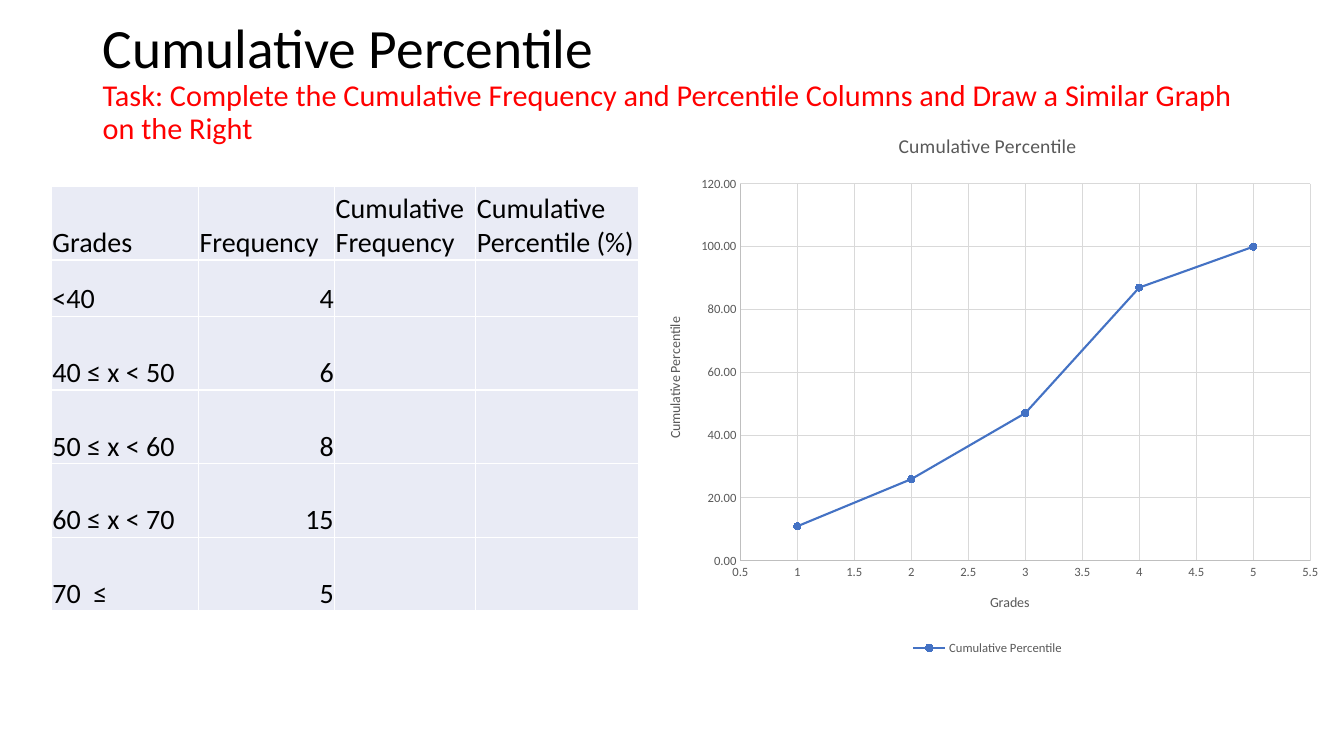
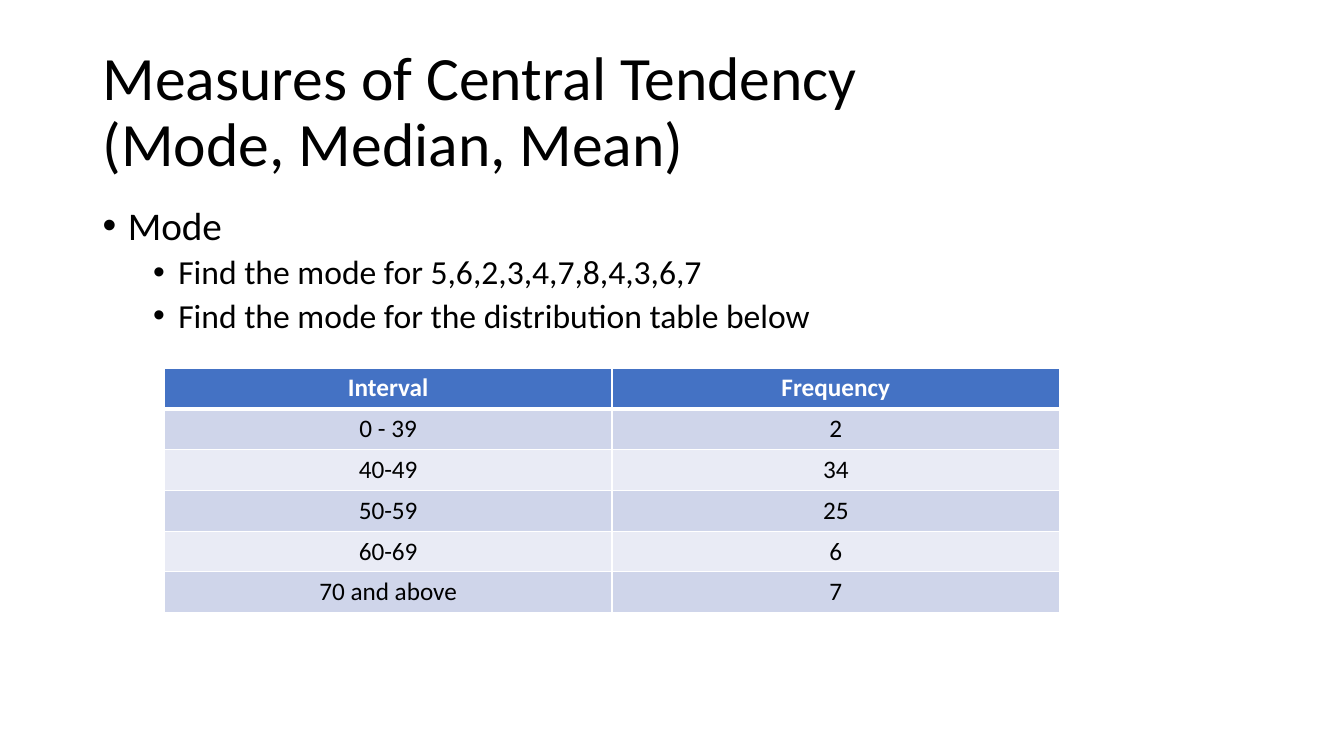
from lxml import etree
from pptx import Presentation
from pptx.chart.data import XyChartData
from pptx.dml.color import RGBColor
from pptx.enum.chart import (XL_CHART_TYPE, XL_LEGEND_POSITION, XL_MARKER_STYLE,
                             XL_TICK_MARK)
from pptx.enum.text import MSO_ANCHOR, PP_ALIGN
from pptx.oxml import parse_xml
from pptx.oxml.ns import nsdecls, qn
from pptx.util import Inches, Pt

FONT = "Calibri"
BLACK, WHITE, RED, GREY = "000000", "FFFFFF", "FF0000", "595959"
BLUE, BAND_DARK, BAND_LIGHT = "4472C4", "CFD5EA", "E9EBF5"
AXIS_LINE, GRID_LINE = "BFBFBF", "D9D9D9"
LEFT, WIDTH = 0.92, 11.5

PERCENTILE_TITLE = [
    ("Cumulative Percentile", 39.6, BLACK),
    ("Task: Complete the Cumulative Frequency and Percentile Columns and "
     "Draw a Similar Graph on the Right", 21.6, RED),
]
GRADES = [
    ("Grades", "Frequency", "Cumulative Frequency", "Cumulative Percentile (%)"),
    ("<40", "4", "", ""),
    ("40 ≤ x < 50", "6", "", ""),
    ("50 ≤ x < 60", "8", "", ""),
    ("60 ≤ x < 70", "15", "", ""),
    ("70  ≤", "5", "", ""),
]
CURVE = [(1, 11), (2, 26), (3, 47), (4, 87), (5, 100)]
# axis title, minimum, maximum, step, number format
AXES = [("Grades", 0.5, 5.5, 0.5, "General"),
        ("Cumulative Percentile", 0, 120, 20, "0.00")]
PLOT_AREA = {"x": 0.14, "y": 0.13, "w": 0.83, "h": 0.69}

MEASURES_TITLE = [("Measures of Central Tendency ", 44, BLACK),
                  ("(Mode, Median, Mean)", 44, BLACK)]
MODE_POINTS = [(0, "Mode"),
               (1, "Find the mode for 5,6,2,3,4,7,8,4,3,6,7"),
               (1, "Find the mode for the distribution table below")]
BULLET_LEVELS = [{"size": 28, "before": 10, "indent": 0.25},
                 {"size": 24, "before": 5, "indent": 0.75}]
INTERVALS = [("Interval", "Frequency"), ("0 - 39", "2"), ("40-49", "34"),
             ("50-59", "25"), ("60-69", "6"), ("70 and above", "7")]


def rgb(value):
    return RGBColor.from_string(value)


def style_font(font, size, color, bold=False):
    for name, value in {"name": FONT, "size": Pt(size), "bold": bold}.items():
        setattr(font, name, value)
    font.color.rgb = rgb(color)


def add_run(p, text, size, color, bold=False):
    r = p.add_run()
    r.text = text
    style_font(r.font, size, color, bold)


def add_text_frame(s, top, height, anchor):
    tf = s.shapes.add_textbox(*map(Inches, (LEFT, top, WIDTH, height))).text_frame
    tf.word_wrap = True
    tf.vertical_anchor = anchor
    return tf


def add_title(s, lines, top=0.4, height=1.45):
    p = add_text_frame(s, top, height, MSO_ANCHOR.MIDDLE).paragraphs[0]
    p.line_spacing = 0.9
    for i, line in enumerate(lines):
        if i:
            p.add_line_break()
        add_run(p, *line)


def add_bullets(s, points, top, height):
    tf = add_text_frame(s, top, height, MSO_ANCHOR.TOP)
    for i, (level, text) in enumerate(points):
        p = tf.add_paragraph() if i else tf.paragraphs[0]
        look = BULLET_LEVELS[level]
        p.level = level
        p.line_spacing = 0.9
        p.space_before = Pt(look["before"])
        pPr = p._p.get_or_add_pPr()
        pPr.set("marL", str(Inches(look["indent"])))
        pPr.set("indent", str(-Inches(0.25)))
        etree.SubElement(pPr, qn("a:buFont"), typeface="Arial")
        etree.SubElement(pPr, qn("a:buChar"), char="•")
        add_run(p, text, look["size"], BLACK)


def set_borders(cell, top=1, bottom=1):
    tcPr = cell._tc.get_or_add_tcPr()
    for side, width in {"L": 1, "R": 1, "T": top, "B": bottom}.items():
        ln = etree.SubElement(tcPr, qn(f"a:ln{side}"), w=str(Pt(width)))
        fill = etree.SubElement(ln, qn("a:solidFill"))
        etree.SubElement(fill, qn("a:srgbClr"), val=WHITE)


def add_table(s, rows, left, top, col_widths, row_heights, format_cell):
    """format_cell(row, column) gives the look of each cell."""
    box = (left, top, sum(col_widths), sum(row_heights))
    table = s.shapes.add_table(len(rows), len(col_widths), *map(Inches, box)).table
    table.first_row = table.horz_banding = False
    for column, width in zip(table.columns, col_widths):
        column.width = Inches(width)
    for row, height in zip(table.rows, row_heights):
        row.height = Inches(height)
    for i, texts in enumerate(rows):
        for j, text in enumerate(texts):
            cell, look = table.cell(i, j), format_cell(i, j)
            set_borders(cell, **look.get("borders", {}))
            cell.fill.solid()
            cell.fill.fore_color.rgb = rgb(look["fill"])
            if text:
                for name, value in look.get("cell", {}).items():
                    setattr(cell, name, value)
                p = cell.text_frame.paragraphs[0]
                p.alignment = look["align"]
                add_run(p, text, *look["font"])


def grades_cell(row, col):
    tight = Inches(0.01)
    return {"fill": BAND_LIGHT, "font": (20, BLACK),
            "align": PP_ALIGN.RIGHT if row and col else PP_ALIGN.LEFT,
            "cell": {"vertical_anchor": MSO_ANCHOR.BOTTOM, "margin_left": tight,
                     "margin_right": tight, "margin_top": tight,
                     "margin_bottom": 0}}


def intervals_cell(row, col):
    look = {"fill": BAND_DARK if row % 2 else BAND_LIGHT,
            "font": (18, BLACK), "align": PP_ALIGN.CENTER}
    if row == 0:
        look.update(fill=BLUE, font=(18, WHITE, True), borders={"bottom": 3})
    elif row == 1:
        look["borders"] = {"top": 3}
    return look


def set_line(line, color, width):
    line.color.rgb = rgb(color)
    line.width = Pt(width)


def set_chart_title(owner, text, size):
    owner.has_title = True
    title = owner.chart_title if hasattr(owner, "chart_title") else owner.axis_title
    add_run(title.text_frame.paragraphs[0], text, size, GREY)


def place_plot_area(chart):
    area = chart._chartSpace.chart.plotArea
    for layout in area.findall(qn("c:layout")):
        area.remove(layout)
    shares = "".join(f'<c:{k} val="{v}"/>' for k, v in PLOT_AREA.items())
    area.insert(0, parse_xml(
        f'<c:layout {nsdecls("c")}><c:manualLayout><c:layoutTarget val="inner"/>'
        f'<c:xMode val="edge"/><c:yMode val="edge"/>{shares}'
        '</c:manualLayout></c:layout>'))


def add_percentile_chart(s, left, top, width, height):
    data = XyChartData()
    points = data.add_series("Cumulative Percentile")
    for x, y in CURVE:
        points.add_data_point(x, y)
    chart = s.shapes.add_chart(XL_CHART_TYPE.XY_SCATTER_SMOOTH,
                               *map(Inches, (left, top, width, height)), data).chart
    style_font(chart.font, 10, BLACK)
    set_chart_title(chart, "Cumulative Percentile", 14)
    chart.has_legend = True
    chart.legend.position = XL_LEGEND_POSITION.BOTTOM
    chart.legend.include_in_layout = False
    style_font(chart.legend.font, 9, GREY)
    chart.plots[0].vary_by_categories = False
    for axis, (title, low, high, step, number_format) in zip(
            (chart.category_axis, chart.value_axis), AXES):
        for name, value in {"minimum_scale": low, "maximum_scale": high,
                            "major_unit": step, "has_major_gridlines": True,
                            "major_tick_mark": XL_TICK_MARK.NONE,
                            "minor_tick_mark": XL_TICK_MARK.NONE}.items():
            setattr(axis, name, value)
        set_chart_title(axis, title, 10)
        axis.tick_labels.number_format = number_format
        axis.tick_labels.number_format_is_linked = False
        style_font(axis.tick_labels.font, 9, GREY)
        set_line(axis.format.line, AXIS_LINE, 0.75)
        set_line(axis.major_gridlines.format.line, GRID_LINE, 0.75)
    series = chart.plots[0].series[0]
    series.smooth = True
    set_line(series.format.line, BLUE, 1.5)
    marker = series.marker
    marker.style, marker.size = XL_MARKER_STYLE.CIRCLE, 5
    marker.format.fill.solid()
    marker.format.fill.fore_color.rgb = rgb(BLUE)
    set_line(marker.format.line, BLUE, 0.75)
    place_plot_area(chart)


def main():
    prs = Presentation()
    prs.slide_width, prs.slide_height = Inches(13.33), Inches(7.5)
    blank = prs.slide_layouts[6]

    s = prs.slides.add_slide(blank)
    add_title(s, PERCENTILE_TITLE, top=0.15, height=1.36)
    add_table(s, GRADES, 0.51, 1.85, [1.46, 1.35, 1.4, 1.61],
              [0.73, 0.56] + [0.73] * 4, grades_cell)
    add_percentile_chart(s, 6.39, 1.12, 6.81, 5.42)

    s = prs.slides.add_slide(blank)
    add_title(s, MEASURES_TITLE)
    add_bullets(s, MODE_POINTS, 2, 4.76)
    add_table(s, INTERVALS, 1.63, 3.65, [4.44] * 2, [0.405] * len(INTERVALS),
              intervals_cell)
    prs.save("out.pptx")


if __name__ == "__main__":
    main()
